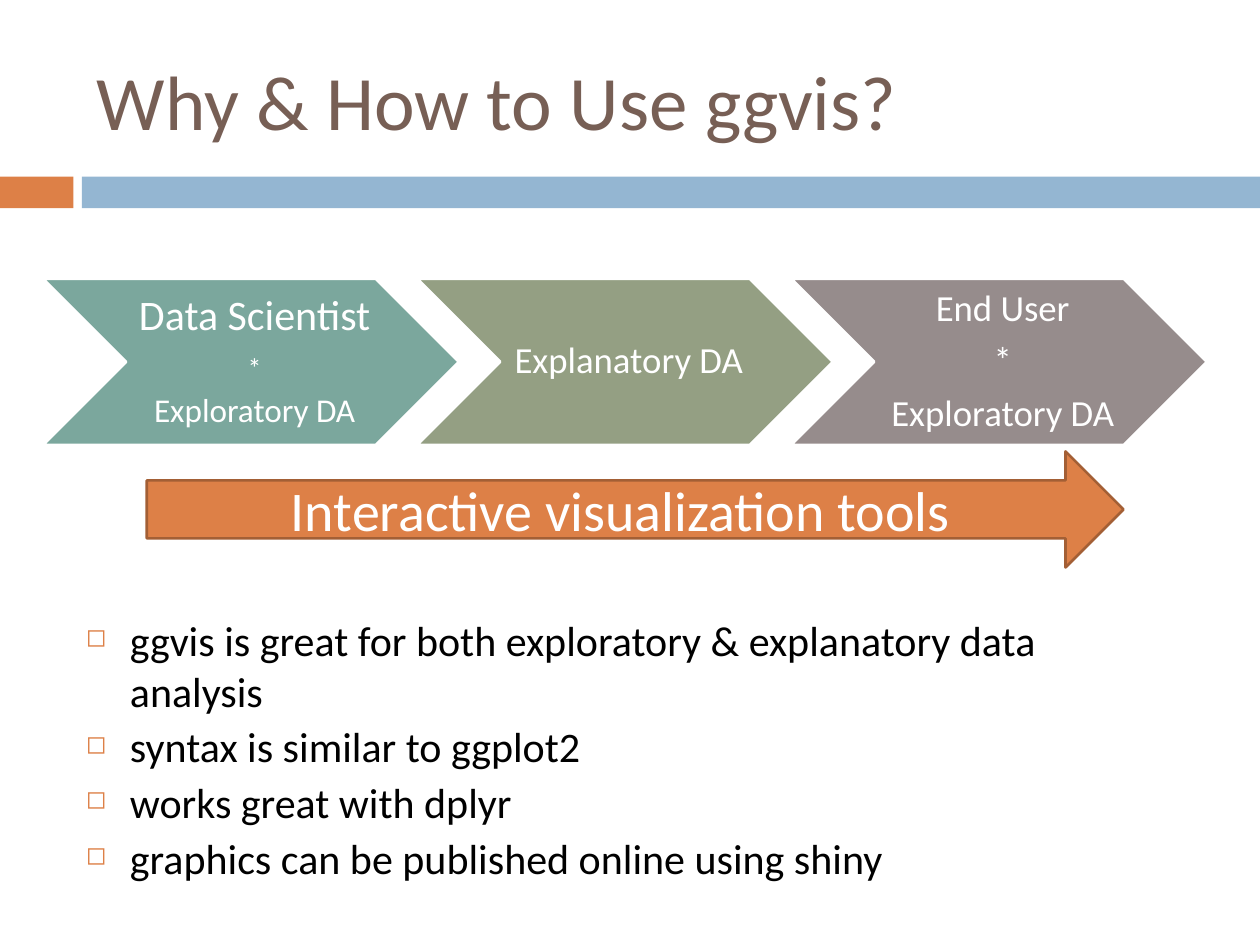
"""Build the slide on why and how to use ggvis."""
from dataclasses import dataclass

from lxml import etree
from pptx import Presentation
from pptx.dml.color import RGBColor
from pptx.enum.shapes import MSO_SHAPE
from pptx.enum.text import MSO_ANCHOR, PP_ALIGN
from pptx.oxml.ns import qn
from pptx.util import Cm, Pt

RECT, CHEVRON, ARROW = MSO_SHAPE.RECTANGLE, MSO_SHAPE.CHEVRON, MSO_SHAPE.RIGHT_ARROW
TOP, MIDDLE = MSO_ANCHOR.TOP, MSO_ANCHOR.MIDDLE
LEFT, CENTER = PP_ALIGN.LEFT, PP_ALIGN.CENTER

TITLE = "Why & How to Use ggvis?"
STAGES = [
    ("7BA79D", [("Data Scientist", 24), ("*", 16), ("Exploratory DA", 19)]),
    ("949F83", [("Explanatory DA", 21)]),
    ("968C8C", [("End User", 21), ("*", 21), ("Exploratory DA", 21)]),
]
ARROW_TEXT = "Interactive visualization tools"
POINTS = [
    "ggvis is great for both exploratory & explanatory data analysis",
    "syntax is similar to ggplot2",
    "works great with dplyr",
    "graphics can be published online using shiny",
]


@dataclass(frozen=True)
class Theme:
    font: str = "Calibri"
    title: str = "775F55"
    accent: str = "DD8047"
    band: str = "94B6D2"
    edge: str = "A35F35"
    light: str = "FFFFFF"
    dark: str = "000000"
    title_size: int = 44
    arrow_size: int = 32
    body_size: int = 24
    line_width: float = 1.5


THEME = Theme()


def rgb(color):
    return RGBColor.from_string(color)


def add_shape(slide, kind, box, fill, line=None):
    sp = slide.shapes.add_shape(kind, *map(Cm, box))
    sp.shadow.inherit = False
    sp.fill.solid()
    sp.fill.fore_color.rgb = rgb(fill)
    if line:
        sp.line.color.rgb = rgb(line)
        sp.line.width = Pt(THEME.line_width)
    else:
        sp.line.fill.background()
    return sp


def set_text(sp, lines, color, align=LEFT, anchor=MIDDLE, wrap=True):
    tf = sp.text_frame
    tf.word_wrap = wrap
    tf.vertical_anchor = anchor
    tf.text = "\n".join(text for text, size in lines)
    for p, (text, size) in zip(tf.paragraphs, lines):
        p.alignment = align
        font = p.runs[0].font
        font.name, font.size = THEME.font, Pt(size)
        font.color.rgb = rgb(color)
    return tf


def add_bullet(p):
    p.space_before = Pt(3)
    pPr = p._p.get_or_add_pPr()
    indent = Cm(0.89)
    pPr.set("marL", str(indent))
    pPr.set("indent", str(-indent))
    color = etree.SubElement(pPr, qn("a:buClr"))
    etree.SubElement(color, qn("a:srgbClr"), val=THEME.accent)
    etree.SubElement(pPr, qn("a:buSzPct"), val="60000")
    etree.SubElement(pPr, qn("a:buChar"), char="◻")


def add_stages(slide, left=0.87, top=5.62, width=8.38, height=3.35, pitch=7.54):
    for i, (fill, lines) in enumerate(STAGES):
        box = (left + i * pitch, top, width, height)
        sp = add_shape(slide, CHEVRON, box, fill, THEME.light)
        tf = set_text(sp, lines, THEME.light, CENTER, wrap=False)
        tf.margin_left = Cm(0.23)
        tf.margin_right = tf.margin_top = tf.margin_bottom = Cm(0.08)
        for p, (text, size) in zip(tf.paragraphs, lines):
            p.line_spacing = 0.9
            p.space_after = Pt(round(0.35 * size, 1))


def main():
    prs = Presentation()
    prs.slide_width, prs.slide_height = Cm(25.4), Cm(19.05)
    s = prs.slides.add_slide(prs.slide_layouts[6])

    add_shape(s, RECT, (0, 3.56, 1.48, 0.64), THEME.accent)
    add_shape(s, RECT, (1.65, 3.56, 23.75, 0.64), THEME.band)

    title = s.shapes.add_textbox(Cm(1.7), Cm(0.64), Cm(22.66), Cm(2.74))
    set_text(title, [(TITLE, THEME.title_size)], THEME.title)

    add_stages(s)

    body = s.shapes.add_textbox(Cm(1.48), Cm(12.27), Cm(22.43), Cm(6.55))
    lines = [(point, THEME.body_size) for point in POINTS]
    tf = set_text(body, lines, THEME.dark, anchor=TOP)
    for p in tf.paragraphs:
        add_bullet(p)

    arrow = add_shape(s, ARROW, (2.96, 9.1, 19.69, 2.34), THEME.accent, THEME.edge)
    set_text(arrow, [(ARROW_TEXT, THEME.arrow_size)], THEME.light, CENTER)

    prs.save("out.pptx")


if __name__ == "__main__":
    main()
